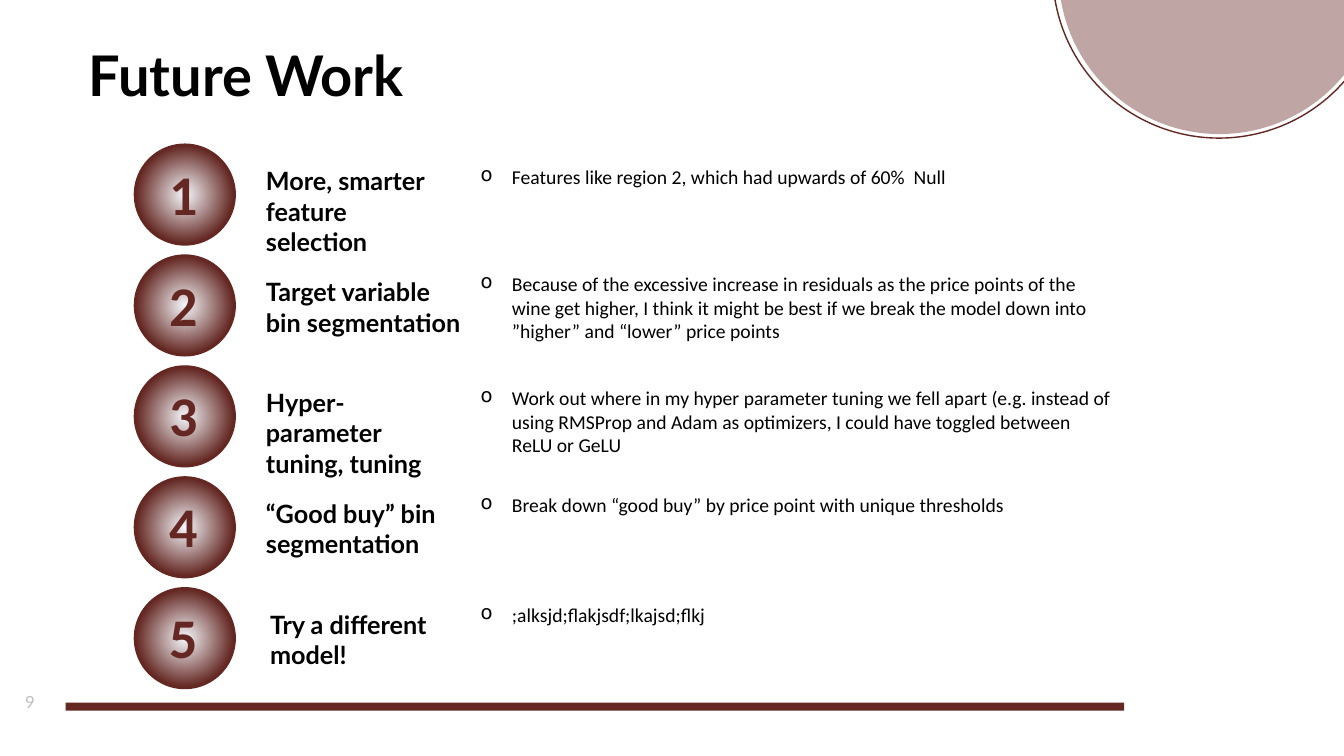
from dataclasses import dataclass

from lxml.etree import SubElement
from pptx import Presentation
from pptx.dml.color import RGBColor
from pptx.enum.shapes import MSO_SHAPE
from pptx.enum.text import MSO_ANCHOR, MSO_AUTO_SIZE
from pptx.oxml import parse_xml
from pptx.oxml.ns import nsdecls, qn
from pptx.util import Inches, Pt


@dataclass(frozen=True)
class Theme:
    wine: str = "642722"
    glow: str = "F6F8FC"
    ink: str = "000000"
    pale: str = "BFBFBF"
    head: str = "Lato"
    body: str = "Calibri"
    large: int = 40
    mid: int = 18
    small: int = 14
    tiny: int = 12


class Deck:
    """Draws styled parts on one slide, with lengths in percent of its size."""

    def __init__(self, theme):
        self.theme = theme
        self.file = Presentation()
        self.file.slide_width = Inches(13.33)
        self.file.slide_height = Inches(7.5)
        self.slide = self.file.slides.add_slide(self.file.slide_layouts[6])

    def place(self, left, top, wide, deep):
        across, down = self.file.slide_width, self.file.slide_height
        return [int(share * size / 100) for share, size in
                zip((left, top, wide, deep), (across, down, across, down))]

    def shape(self, kind, box, fill=None, line=None, alpha=None):
        part = self.slide.shapes.add_shape(kind, *self.place(*box))
        part.shadow.inherit = False
        if fill:
            part.fill.solid()
            part.fill.fore_color.rgb = RGBColor.from_string(fill)
        else:
            part.fill.background()
        if line:
            part.line.color.rgb = RGBColor.from_string(line)
            part.line.width = Pt(1)
        else:
            part.line.fill.background()
        if alpha:
            tint = part.fill._xPr.find(qn("a:solidFill"))[0]
            SubElement(tint, qn("a:alpha"), val=str(alpha * 1000))
        return part

    def ball(self, box):
        wine = self.theme.wine
        part = self.shape(MSO_SHAPE.OVAL, box, wine, wine)
        stops = "".join(
            f'<a:gs pos="{spot * 1000}"><a:srgbClr val="{tone}"/></a:gs>'
            for spot, tone in ((0, self.theme.glow), (69, wine), (79, wine), (100, wine)))
        blend = parse_xml(
            f'<a:gradFill {nsdecls("a")}><a:gsLst>{stops}</a:gsLst><a:path path="circle">'
            '<a:fillToRect l="50000" t="50000" r="50000" b="50000"/></a:path></a:gradFill>')
        frame = part.fill._xPr
        frame.replace(frame.find(qn("a:solidFill")), blend)

    def text(self, words, box, font, size, tone, bold=False, wrap=True,
             mark=None, pitch=None, anchor=MSO_ANCHOR.TOP):
        frame = self.slide.shapes.add_textbox(*self.place(*box)).text_frame
        frame.word_wrap = wrap
        frame.auto_size = MSO_AUTO_SIZE.NONE
        frame.vertical_anchor = anchor
        line = frame.paragraphs[0]
        line.text = words
        if mark:
            props = line._p.get_or_add_pPr()
            inset = Inches(0.31)
            props.set("marL", str(inset))
            props.set("indent", str(-inset))
            SubElement(props, qn("a:buChar"), char=mark)
        if pitch:
            line.line_spacing = pitch
        line.font.name = font
        line.font.size = Pt(size)
        line.font.bold = bold
        line.font.color.rgb = RGBColor.from_string(tone)


STEPS = (
    ("More, smarter feature selection", 19.05, 15.38,
     "Features like region 2, which had upwards of 60%  Null", 21.2, 48.46, 4.53),
    ("Target variable bin segmentation", 19.05, 16.2,
     "Because of the excessive increase in residuals as the price points of the wine get "
     "higher, I think it might be best if we break the model down into ”higher” and “lower” "
     "price points", 35.33, 48.46, 10.8),
    ("Hyper-parameter tuning, tuning", 19.05, 15.38,
     "Work out where in my hyper parameter tuning we fell apart (e.g. instead of using "
     "RMSProp and Adam as optimizers, I could have toggled between ReLU or GeLU",
     50.4, 48.46, 10.8),
    ("“Good buy” bin segmentation", 19.05, 16.2,
     "Break down “good buy” by price point with unique thresholds", 64.53, 48.46, 4.53),
    ("Try a different model!", 19.35, 16.2,
     ";alksjd;flakjsdf;lkajsd;flkj", 79.07, 49.51, 4.53),
)
FIRST, PITCH = 19.07, 14.67


def main():
    theme = Theme()
    deck = Deck(theme)
    deck.text("9", (1.13, 91.07, 22.5, 3.6), theme.head, theme.tiny, theme.pale,
              anchor=MSO_ANCHOR.MIDDLE)
    deck.shape(MSO_SHAPE.OVAL, (78.77, -24.8, 23.93, 42.53), fill=theme.wine, alpha=41)
    deck.shape(MSO_SHAPE.OVAL, (78.32, -25.73, 24.76, 44), line=theme.wine)
    deck.shape(MSO_SHAPE.RECTANGLE, (4.88, 92.93, 78.77, 1.07), fill=theme.wine)
    deck.text("Future Work", (5.85, 5.73, 72.92, 13.33), theme.head, theme.large,
              theme.ink, bold=True, pitch=0.9)

    for step, (head, left, wide, note, top, span, deep) in enumerate(STEPS):
        row = FIRST + step * PITCH
        deck.ball((10, row, 7.5, 13.33))
        deck.text(str(step + 1), (11.85, row + 1.33, 3.68, 10.27), theme.body,
                  theme.large, theme.wine, bold=True, wrap=False)
        deck.text(head, (left, row + 2.2, wide, 9.47), theme.head, theme.mid,
                  theme.ink, bold=True)
        deck.text(note, (35.03, top, span, deep), theme.body, theme.small,
                  theme.ink, mark="o")

    deck.file.save("out.pptx")


if __name__ == "__main__":
    main()
